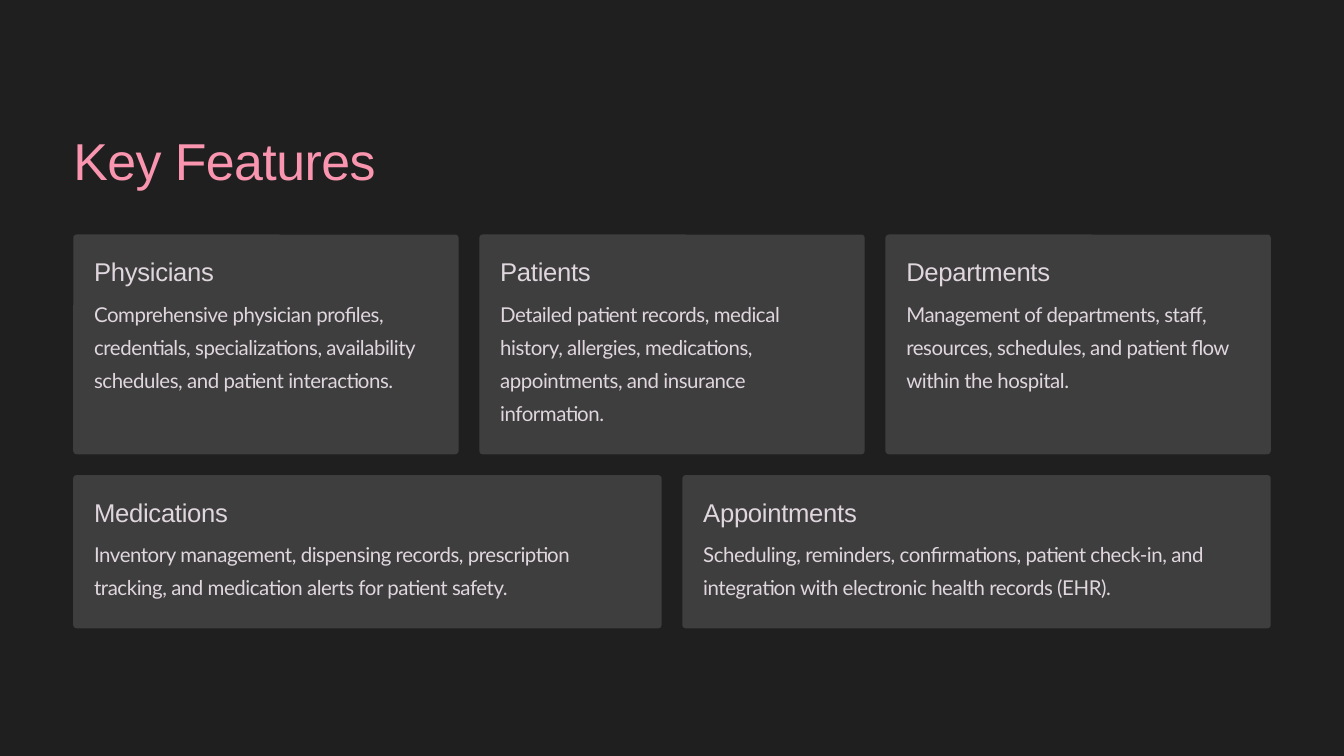
"""Build the "Key Features" slide: a title above two rows of text cards."""
from dataclasses import dataclass

from pptx import Presentation
from pptx.dml.color import RGBColor
from pptx.enum.shapes import MSO_SHAPE
from pptx.enum.text import MSO_ANCHOR, MSO_AUTO_SIZE, PP_ALIGN
from pptx.slide import Slide
from pptx.text.text import TextFrame
from pptx.util import Inches, Pt

COLORS = {"background": "1F1F1F", "card": "3E3E3E", "title": "FA95AF", "text": "E0D6DE"}
LEFT, CONTENT_W, GAP = 1.09, 17.82, 0.31
PAD, RADIUS = 0.31, 0.05


@dataclass(frozen=True)
class TextStyle:
    font: str
    size: float
    line: float
    tracking: float
    color: str


@dataclass(frozen=True)
class Card:
    heading: str
    body: str


@dataclass(frozen=True)
class Row:
    top: float
    height: float
    cards: tuple[Card, ...]


TITLE = TextStyle("Arial", 55.6, 69.4, -0.6, "title")
HEADING = TextStyle("Arial", 27.5, 34.4, -0.3, "text")
BODY = TextStyle("Lato", 21.9, 35.6, -0.5, "text")

ROWS = (
    Row(3.49, 3.27, (
        Card("Physicians", "Comprehensive physician profiles, credentials, specializations, "
             "availability schedules, and patient interactions."),
        Card("Patients", "Detailed patient records, medical history, allergies, medications, "
             "appointments, and insurance information."),
        Card("Departments", "Management of departments, staff, resources, schedules, "
             "and patient flow within the hospital."),
    )),
    Row(7.07, 2.28, (
        Card("Medications", "Inventory management, dispensing records, prescription tracking, "
             "and medication alerts for patient safety."),
        Card("Appointments", "Scheduling, reminders, confirmations, patient check-in, "
             "and integration with electronic health records (EHR)."),
    )),
)


def rgb(name: str) -> RGBColor:
    return RGBColor.from_string(COLORS[name])


def write(tf: TextFrame, text: str, style: TextStyle) -> None:
    tf.margin_left = tf.margin_right = tf.margin_top = tf.margin_bottom = 0
    tf.word_wrap = True
    tf.auto_size = MSO_AUTO_SIZE.NONE
    tf.vertical_anchor = MSO_ANCHOR.TOP
    tf.text = text
    p = tf.paragraphs[0]
    p.alignment = PP_ALIGN.LEFT
    p.line_spacing = Pt(style.line)
    r = p.runs[0]
    r.font.name = style.font
    r.font.size = Pt(style.size)
    r.font.color.rgb = rgb(style.color)
    r.font._element.set("spc", str(round(style.tracking * 100)))


def add_text(s: Slide, x: float, y: float, w: float, h: float,
             text: str, style: TextStyle) -> None:
    sp = s.shapes.add_textbox(Inches(x), Inches(y), Inches(w), Inches(h))
    write(sp.text_frame, text, style)


def add_card(s: Slide, card: Card, x: float, y: float, w: float, h: float) -> None:
    sp = s.shapes.add_shape(MSO_SHAPE.ROUNDED_RECTANGLE,
                            Inches(x), Inches(y), Inches(w), Inches(h))
    sp.adjustments[0] = RADIUS / min(w, h)
    sp.fill.solid()
    sp.fill.fore_color.rgb = rgb("card")
    sp.line.fill.background()
    sp.shadow.inherit = False
    text_w = w - 2 * PAD
    add_text(s, x + PAD, y + 0.3, text_w, 0.49, card.heading, HEADING)
    add_text(s, x + PAD, y + 0.87, text_w, h - 0.87 - PAD, card.body, BODY)


def add_row(s: Slide, row: Row) -> None:
    n = len(row.cards)
    w = (CONTENT_W - (n - 1) * GAP) / n
    for i, card in enumerate(row.cards):
        add_card(s, card, LEFT + i * (w + GAP), row.top, w, row.height)


def main() -> None:
    prs = Presentation()
    prs.slide_width, prs.slide_height = Inches(20), Inches(11.25)
    s = prs.slides.add_slide(prs.slide_layouts[5])
    s.background.fill.solid()
    s.background.fill.fore_color.rgb = rgb("background")

    title = s.shapes.title
    title.left, title.top = Inches(LEFT), Inches(1.88)
    title.width, title.height = Inches(7.75), Inches(0.99)
    write(title.text_frame, "Key Features", TITLE)

    for row in ROWS:
        add_row(s, row)
    prs.save("out.pptx")


if __name__ == "__main__":
    main()
